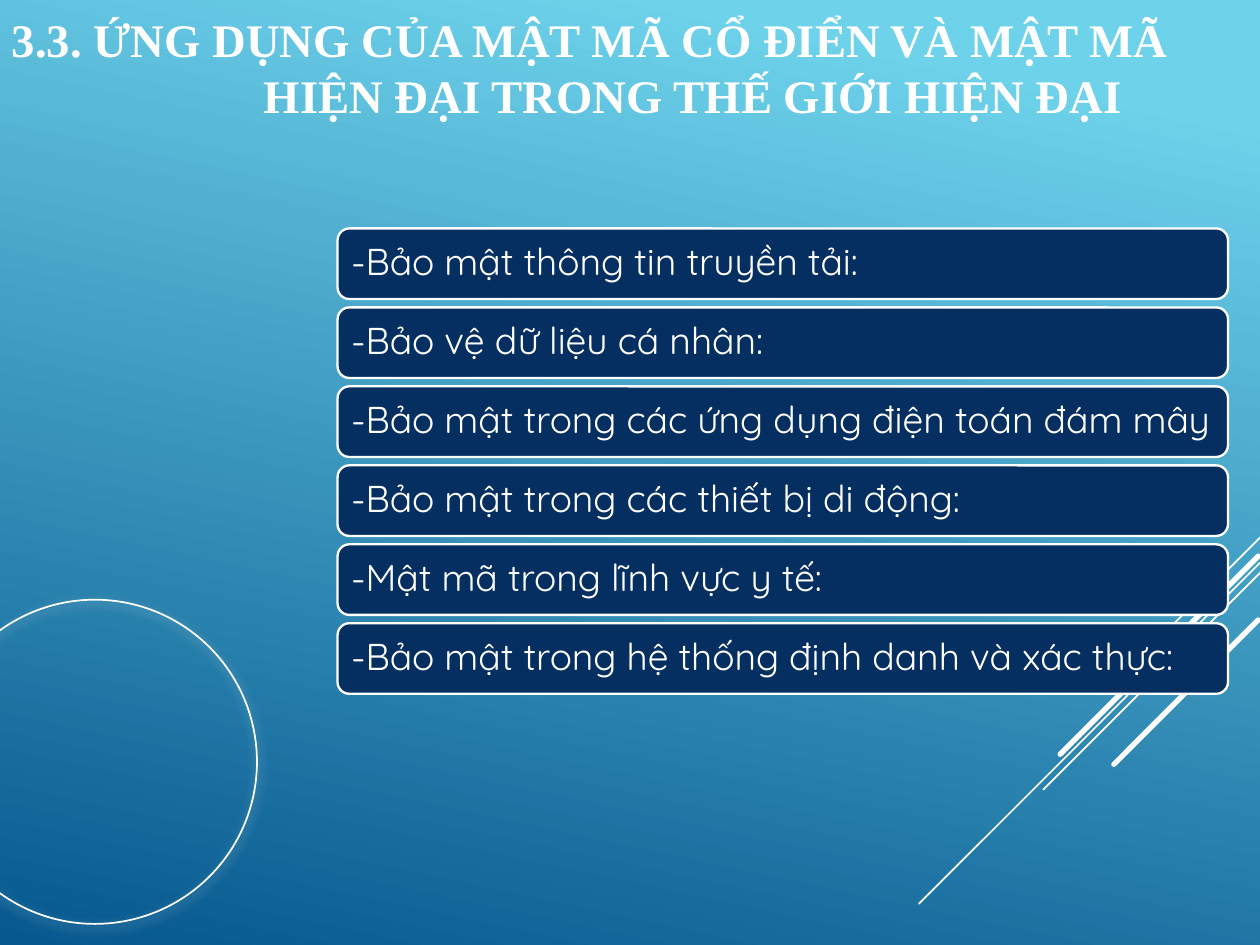
from dataclasses import dataclass

from pptx import Presentation, oxml, util as u
from pptx.dml.color import RGBColor
from pptx.enum import shapes, text
from pptx.oxml import ns
from pptx.shapes.autoshape import Shape
from pptx.slide import Slide

WHITE = RGBColor(0xFF, 0xFF, 0xFF)
NAVY = RGBColor(0x05, 0x2F, 0x61)
SKY = RGBColor(0x6E, 0xD2, 0xEB)
DEEP = RGBColor(0x06, 0x58, 0x8E)

WIDTH = 7.5
HEIGHT = WIDTH * 3 / 4

TITLE = ("3.3. ỨNG DỤNG CỦA MẬT MÃ CỔ ĐIỂN VÀ MẬT MÃ"
         "\vHIỆN ĐẠI TRONG THẾ GIỚI HIỆN ĐẠI")
USES = [
    "-Bảo mật thông tin truyền tải:",
    "-Bảo vệ dữ liệu cá nhân:",
    "-Bảo mật trong các ứng dụng điện toán đám mây",
    "-Bảo mật trong các thiết bị di động:",
    "-Mật mã trong lĩnh vực y tế:",
    "-Bảo mật trong hệ thống định danh và xác thực:",
]
GLOW = f"""<a:outerShdw {ns.nsdecls('a')} blurRad="57150" dist="19050"
 dir="5400000" algn="ctr" rotWithShape="0">
<a:srgbClr val="FFFFFF"><a:alpha val="50000"/></a:srgbClr></a:outerShdw>"""


@dataclass
class Ray:
    right: float
    top: float
    run: float
    width: float


RAYS = [
    Ray(7.5, 3.2, 0.62, 0.75),
    Ray(7.5, 3.35, 2.03, 0.75),
    Ray(7.5, 3.41, 1.29, 0.75),
    Ray(7.49, 3.31, 1.18, 2.25),
    Ray(7.49, 3.69, 0.86, 2.25),
]


def paint(slide: Slide) -> None:
    fill = slide.background.fill
    fill.gradient()
    fill.gradient_angle = 360 - 102
    for stop, color, place in zip(fill.gradient_stops, (SKY, DEEP), (0.1, 1)):
        stop.color.rgb = color
        stop.position = place


def draw_ray(slide: Slide, ray: Ray) -> None:
    line = slide.shapes.add_connector(
        shapes.MSO_CONNECTOR.STRAIGHT, u.Inches(ray.right), u.Inches(ray.top),
        u.Inches(ray.right - ray.run), u.Inches(ray.top + ray.run))
    line.line.color.rgb = WHITE
    line.line.width = u.Pt(ray.width)
    props = line.element.spPr
    props.find(ns.qn("a:ln")).set("cap", "rnd")
    props.append(oxml.parse_xml(f"<a:effectLst {ns.nsdecls('a')}/>"))


def add_box(slide: Slide, kind: shapes.MSO_SHAPE, left: float, top: float,
            width: float, height: float, line: float) -> Shape:
    box = slide.shapes.add_shape(kind, u.Inches(left), u.Inches(top),
                                 u.Inches(width), u.Inches(height))
    box.shadow.inherit = False
    box.fill.background()
    box.line.color.rgb = WHITE
    box.line.width = u.Pt(line)
    return box


def write(shape: Shape, words: str, *, font: str, size: float,
          bold: bool = False, anchor: text.MSO_ANCHOR = text.MSO_ANCHOR.MIDDLE,
          left: float = 0.07, right: float = 0.07, hang: float = 0,
          space: float = 1) -> None:
    frame = shape.text_frame
    frame.word_wrap = True
    frame.vertical_anchor = anchor
    frame.margin_left = u.Inches(left)
    frame.margin_right = u.Inches(right)
    frame.margin_top = frame.margin_bottom = u.Inches(0.07)
    para = frame.paragraphs[0]
    para.text = words
    para.alignment = text.PP_ALIGN.LEFT
    para.line_spacing = space
    if hang:
        props = para._p.get_or_add_pPr()
        props.set("marL", str(u.Inches(hang)))
        props.set("indent", str(-u.Inches(hang)))
    for run in para.runs:
        run.font.name = font
        run.font.size = u.Pt(size)
        run.font.bold = bold
        run.font.color.rgb = WHITE


def main() -> None:
    deck = Presentation()
    deck.slide_width = u.Inches(WIDTH)
    deck.slide_height = u.Inches(HEIGHT)
    slide = deck.slides.add_slide(deck.slide_layouts[6])
    paint(slide)
    for ray in RAYS:
        draw_ray(slide, ray)

    title = slide.shapes.add_textbox(0, 0, u.Inches(7.59), u.Inches(0.8))
    write(title, TITLE, font="Times New Roman", size=20, bold=True,
          anchor=text.MSO_ANCHOR.BOTTOM, hang=1.5)

    ring = add_box(slide, shapes.MSO_SHAPE.OVAL, -0.4, 3.57, 1.93, 1.93, 0.75)
    ring.element.spPr.find(ns.qn("a:effectLst")).append(oxml.parse_xml(GLOW))

    for row, words in enumerate(USES):
        bar = add_box(slide, shapes.MSO_SHAPE.ROUNDED_RECTANGLE,
                      2.01, 1.36 + 0.47 * row, 5.3, 0.42, 1)
        bar.fill.solid()
        bar.fill.fore_color.rgb = NAVY
        write(bar, words, font="Quicksand", size=16, left=0.06, right=0.04,
              space=0.9)

    deck.save("out.pptx")


if __name__ == "__main__":
    main()
